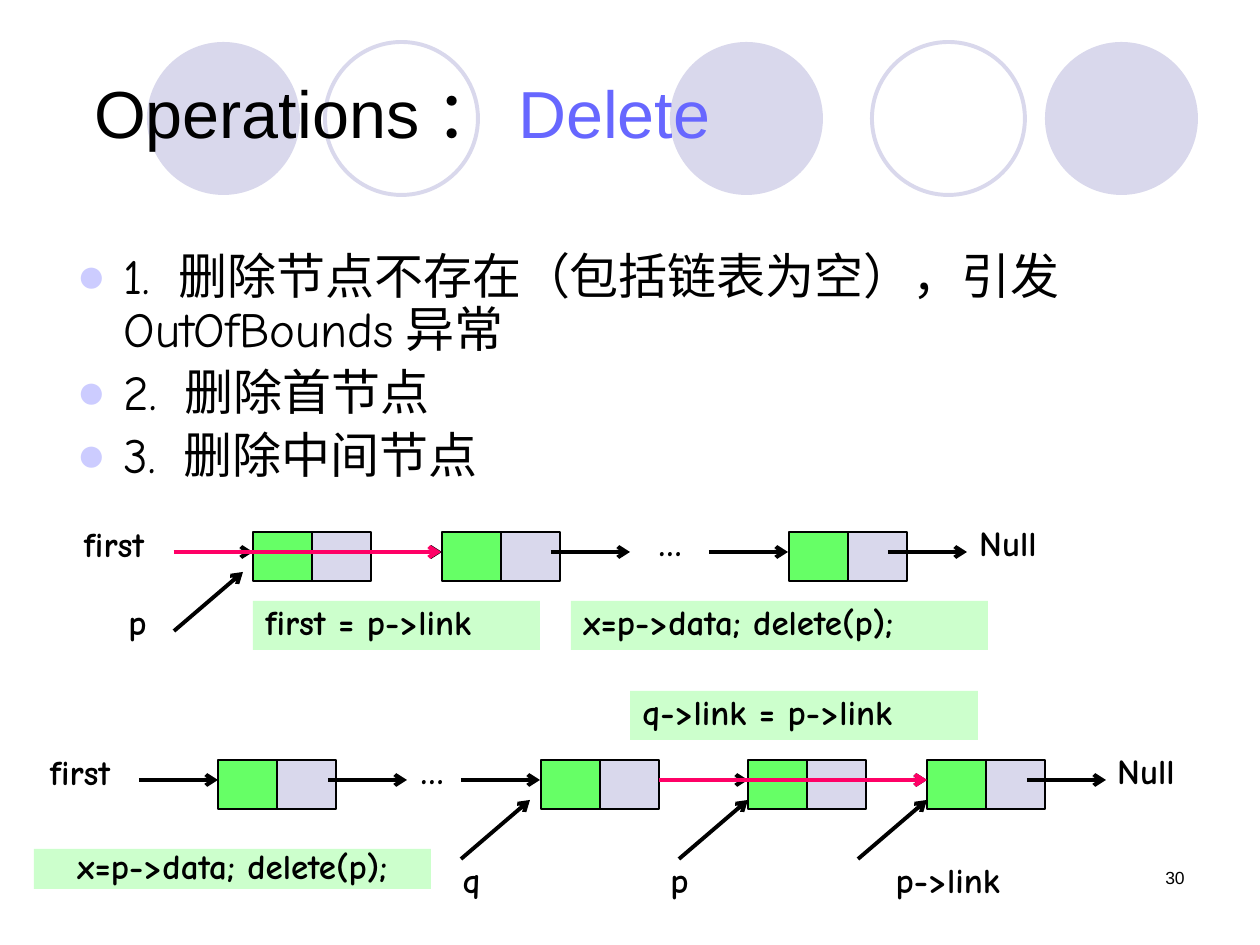
from lxml.etree import SubElement
from pptx import Presentation
from pptx.dml.color import RGBColor
from pptx.enum.shapes import MSO_CONNECTOR, MSO_SHAPE
from pptx.enum.text import MSO_ANCHOR as Anchor, MSO_AUTO_SIZE as AutoSize, PP_ALIGN as Align
from pptx.oxml.ns import qn
from pptx.util import Emu, Pt

SCALE = 914400 / 126
BLACK, PINK, LILAC, GREEN, PALE = "000000", "FF0066", "D9D8EC", "66FF66", "CCFFCC"
COMIC = "Comic Neue"

TITLE = [(" Operations：", BLACK), ("Delete", "6767FF")]
CASES = ["1. 删除节点不存在（包括链表为空），引发OutOfBounds异常", "2. 删除首节点", "3. 删除中间节点"]
CIRCLES = [(147, True), (325, False), (670, True), (872, False), (1045, True)]
CHAINS = [
    {"top": 532, "nodes": [253, 442, 789], "links": [174, 363, 551, 709, 888],
     "pointers": [174], "bypass": (174, 441)},
    {"top": 760, "nodes": [218, 541, 748, 927], "links": [139, 328, 461, 669, 848, 1027],
     "pointers": [461, 679, 858], "bypass": (659, 927)},
]
LABELS = [
    ("first", 64, 523, 100), ("…", 620, 522, 100), ("Null", 958, 522, 100), ("p", 113, 601, 49),
    ("first", 30, 751, 100), ("…", 382, 750, 100), ("Null", 1096, 750, 100),
    ("q", 402, 859, 139), ("p", 610, 859, 139), ("p->link", 789, 859, 318),
]
STATEMENTS = [
    ("first = p->link", 253, 601, 287, 49, Align.LEFT),
    ("x=p->data; delete(p);", 571, 601, 417, 49, Align.LEFT),
    ("q->link = p->link", 630, 691, 348, 49, Align.LEFT),
    ("x=p->data; delete(p);", 34, 849, 397, 40, Align.CENTER),
]
CIRCLE_TOP, CIRCLE_SIZE = 42, 153
CELL_WIDTH, CELL_HEIGHT = 59, 49
LINK_DROP, LINK_LENGTH = 20, 79
POINTER_DROP, POINTER_RUN, POINTER_RISE = 99, 69, 59


def px(*lengths):
    return [Emu(round(length * SCALE)) for length in lengths]


def color(value):
    return RGBColor.from_string(value)


def style(span, size, value, font, bold=False):
    span.font.size, span.font.name, span.font.bold = Pt(size), font, bold
    span.font.color.rgb = color(value)


def add_box(shapes, kind, area, fill=None, line=None, width=0.75):
    box = shapes.add_shape(kind, *px(*area))
    box.shadow.inherit = False
    if fill:
        box.fill.solid()
        box.fill.fore_color.rgb = color(fill)
    else:
        box.fill.background()
    if line:
        box.line.color.rgb = color(line)
        box.line.width = Pt(width)
    else:
        box.line.fill.background()
    return box


def write(box, text, align, size=20, font=COMIC, bold=True, spacing=0.8):
    frame = box.text_frame
    frame.text = text
    frame.word_wrap = True
    frame.vertical_anchor = Anchor.MIDDLE
    para = frame.paragraphs[0]
    para.alignment, para.line_spacing = align, spacing
    style(para.runs[0], size, BLACK, font, bold)


def add_arrow(shapes, start, end, value=BLACK):
    arrow = shapes.add_connector(MSO_CONNECTOR.STRAIGHT, *px(*start, *end))
    arrow.line.color.rgb = color(value)
    arrow.line.width = Pt(2.25)
    SubElement(arrow.line._get_or_add_ln(), qn("a:tailEnd"), type="arrow")
    SubElement(arrow._element.spPr, qn("a:effectLst"))


def place(holder, area):
    holder.left, holder.top, holder.width, holder.height = px(*area)
    holder.text_frame.auto_size = AutoSize.NONE
    holder.text_frame.word_wrap = True


def fill_title(title):
    place(title, (63, 38, 1134, 158))
    title.text_frame.vertical_anchor = Anchor.MIDDLE
    para = title.text_frame.paragraphs[0]
    para.alignment, para.line_spacing = Align.LEFT, 0.9
    for text, value in TITLE:
        span = para.add_run()
        span.text = text
        style(span, 38, value, "Arial")


def fill_body(body):
    place(body, (64, 246, 1134, 223))
    body.text_frame.text = "\n".join(CASES)
    indent = px(47)[0]
    for para in body.text_frame.paragraphs:
        para.line_spacing, para.space_before = 0.9, Pt(5.6)
        style(para.runs[0], 28, BLACK, COMIC)
        props = para._p.get_or_add_pPr()
        props.set("marL", str(indent))
        props.set("indent", str(-indent))
        SubElement(SubElement(props, qn("a:buClr")), qn("a:srgbClr"), val="CCCCFF")
        SubElement(props, qn("a:buFont"), typeface="Arial")
        SubElement(props, qn("a:buChar"), char="●")


def draw_chain(shapes, chain):
    top = chain["top"]
    middle, base = top + LINK_DROP, top + POINTER_DROP
    for left in chain["nodes"]:
        for column, fill in enumerate((GREEN, LILAC)):
            area = (left + column * CELL_WIDTH, top, CELL_WIDTH, CELL_HEIGHT)
            add_box(shapes, MSO_SHAPE.RECTANGLE, area, fill, BLACK)
    for left in chain["links"]:
        add_arrow(shapes, (left, middle), (left + LINK_LENGTH, middle))
    for left in chain["pointers"]:
        add_arrow(shapes, (left, base), (left + POINTER_RUN, base - POINTER_RISE))
    start, end = chain["bypass"]
    add_arrow(shapes, (start, middle), (end, middle), PINK)


def main():
    """Build the slide on deleting a node from a linked list."""
    deck = Presentation()
    deck.slide_width, deck.slide_height = px(1260, 945)
    page = deck.slides.add_slide(deck.slide_layouts[1])
    shapes = page.shapes
    title, body = shapes.title, page.placeholders[1]

    for left, solid in CIRCLES:
        area = (left, CIRCLE_TOP, CIRCLE_SIZE, CIRCLE_SIZE)
        fill, line = (LILAC, None) if solid else (None, LILAC)
        add_box(shapes, MSO_SHAPE.OVAL, area, fill, line, 2.25)
    for holder in (title, body):
        shapes._spTree.append(holder._element)
    fill_title(title)
    fill_body(body)

    for text, left, top, width, height, align in STATEMENTS:
        box = add_box(shapes, MSO_SHAPE.RECTANGLE, (left, top, width, height), PALE)
        write(box, text, align)
    for chain in CHAINS:
        draw_chain(shapes, chain)
    for text, left, top, width in LABELS:
        write(shapes.add_textbox(*px(left, top, width, 49)), text, Align.CENTER)
    number = shapes.add_textbox(*px(903, 861, 294, 63))
    write(number, "30", Align.RIGHT, 10, "Arial", False, 1.0)
    number.text_frame.vertical_anchor = Anchor.TOP

    deck.save("out.pptx")


if __name__ == "__main__":
    main()
